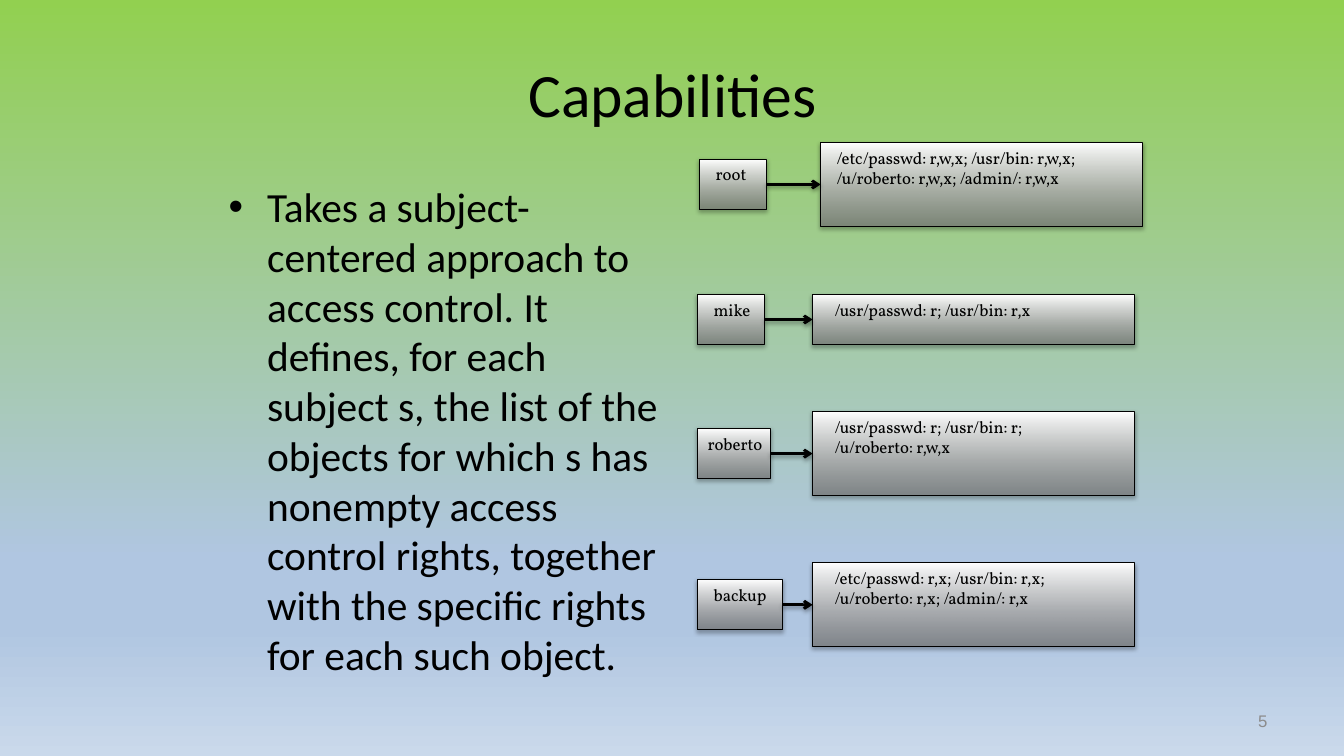
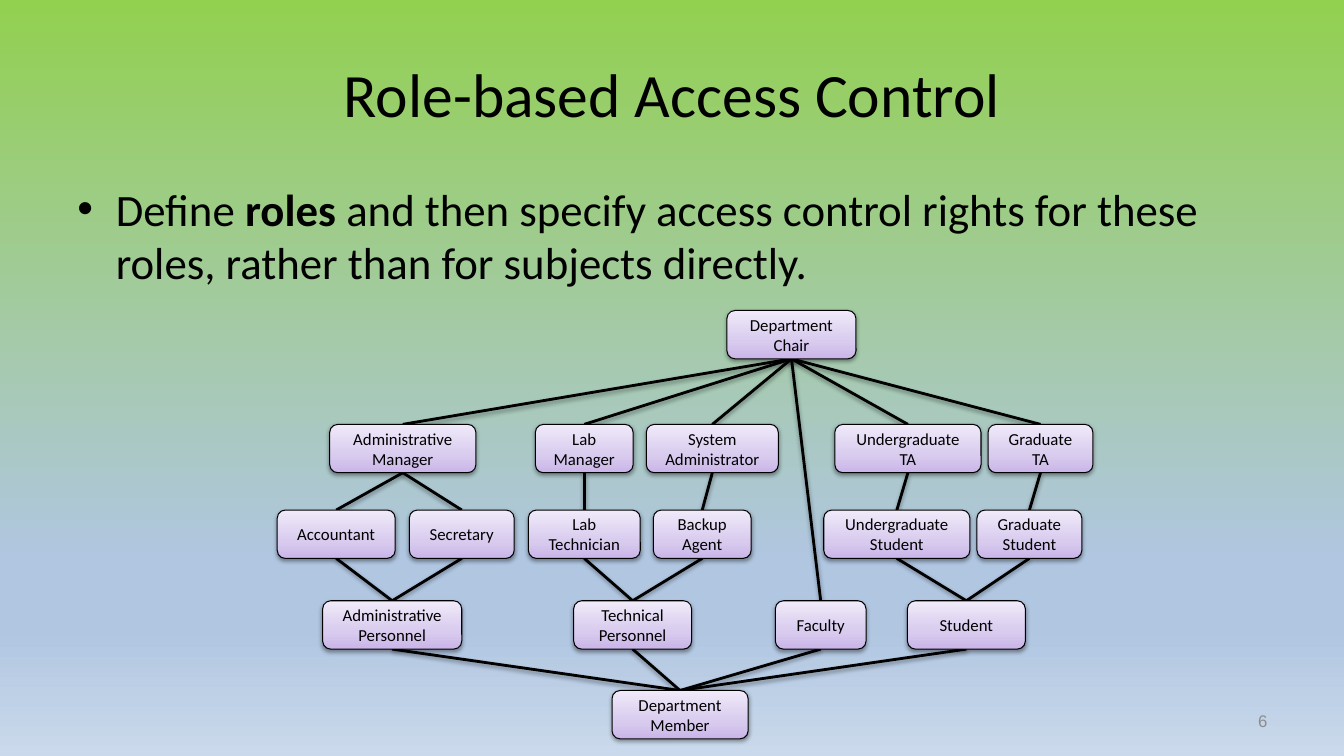
"""Build two slides on access control: capabilities and role-based access."""
from typing import NamedTuple

from lxml.etree import SubElement
from pptx import Presentation
from pptx.dml.color import RGBColor
from pptx.enum.shapes import MSO_CONNECTOR, MSO_SHAPE
from pptx.enum.text import MSO_ANCHOR, MSO_AUTO_SIZE, PP_ALIGN
from pptx.oxml.ns import qn
from pptx.util import Inches, Pt

COLORS = {
    "ink": "000000", "number": "8C8C8C",
    "green": "92D050", "blue": "B0C6E1", "pale": "CAD9EB",
    "grey": "808080", "white": "FFFFFF",
    "violet": "C9B5E8", "lilac": "D8CBEE", "mist": "F0EAF9",
}


class Stop(NamedTuple):
    pos: int
    color: str
    alpha: int = 100


class Gradient(NamedTuple):
    angle: int
    stops: tuple[Stop, ...]


class Capability(NamedTuple):
    subject: str
    rights: tuple[str, ...]
    middle: float
    left: float
    width: float
    name_pad: float
    name_width: float
    list_left: float
    rights_pad: float
    rights_width: float


class Role(NamedTuple):
    name: str
    level: int
    left: float
    width: float
    below: tuple[str, ...] = ()


SKY = Gradient(90, (Stop(0, "green"), Stop(74, "blue"), Stop(83, "blue"), Stop(100, "pale")))
STEEL = Gradient(270, (Stop(0, "grey", 69), Stop(100, "white")))
LAVENDER = Gradient(270, (Stop(0, "violet"), Stop(35, "lilac"), Stop(100, "mist")))

TOP, LEFT, BOTTOM, RIGHT = range(4)
BOX_HEIGHT = 0.5
LIST_WIDTH = 3.19
LIST_HEIGHTS = {1: 0.5, 2: 0.83}
TEXT_HEIGHTS = {1: 0.3, 2: 0.5}
LEVEL_TOPS = (3.08, 4.21, 5.06, 5.96, 6.85)
ROLE_HEIGHT = 0.48

CAPABILITIES = (
    Capability("root", ("/etc/passwd: r,w,x; /usr/bin: r,w,x;", "/u/roberto: r,w,x; /admin/: r,w,x"),
               1.83, 6.94, 0.66, 0.06, 0.51, 8.14, 0.06, 2.73),
    Capability("mike", ("/usr/passwd: r; /usr/bin: r,x",),
               3.17, 6.92, 0.66, 0.06, 0.57, 8.06, 0.12, 2.22),
    Capability("roberto", ("/usr/passwd: r; /usr/bin: r;", "/u/roberto: r,w,x"),
               4.5, 6.92, 0.72, 0, 0.75, 8.06, 0.12, 2.14),
    Capability("backup", ("/etc/passwd: r,x; /usr/bin: r,x;", "/u/roberto: r,x; /admin/: r,x"),
               6, 6.92, 0.84, 0.06, 0.75, 8.06, 0.12, 2.4),
)

ROLES = (
    Role("Department Chair", 0, 7.21, 1.28,
         ("Administrative Manager", "Lab Manager", "System Administrator",
          "Faculty", "Undergraduate TA", "Graduate TA")),
    Role("Administrative Manager", 1, 3.27, 1.45, ("Accountant", "Secretary")),
    Role("Lab Manager", 1, 5.31, 0.97, ("Lab Technician",)),
    Role("System Administrator", 1, 6.41, 1.31, ("Backup Agent",)),
    Role("Undergraduate TA", 1, 8.28, 1.45, ("Undergraduate Student",)),
    Role("Graduate TA", 1, 9.8, 1.04, ("Graduate Student",)),
    Role("Accountant", 2, 2.75, 1.17, ("Administrative Personnel",)),
    Role("Secretary", 2, 4.06, 1.04, ("Administrative Personnel",)),
    Role("Lab Technician", 2, 5.24, 1.11, ("Technical Personnel",)),
    Role("Backup Agent", 2, 6.48, 0.97, ("Technical Personnel",)),
    Role("Undergraduate Student", 2, 8.17, 1.45, ("Student",)),
    Role("Graduate Student", 2, 9.69, 1.04, ("Student",)),
    Role("Administrative Personnel", 3, 3.2, 1.38, ("Department Member",)),
    Role("Technical Personnel", 3, 5.69, 1.17, ("Department Member",)),
    Role("Faculty", 3, 7.69, 0.9, ("Department Member",)),
    Role("Student", 3, 9, 1.17, ("Department Member",)),
    Role("Department Member", 4, 6.07, 1.35),
)


def rgb(name: str) -> RGBColor:
    return RGBColor.from_string(COLORS[name])


def add_color(parent, name: str, alpha: int):
    clr = SubElement(parent, qn("a:srgbClr"), val=COLORS[name])
    if alpha < 100:
        SubElement(clr, qn("a:alpha"), val=str(alpha * 1000))


def paint(fill, holder, gradient: Gradient):
    fill.solid()
    solid = holder.find(qn("a:solidFill"))
    grad = SubElement(holder, qn("a:gradFill"), rotWithShape="1")
    stops = SubElement(grad, qn("a:gsLst"))
    for stop in gradient.stops:
        gs = SubElement(stops, qn("a:gs"), pos=str(stop.pos * 1000))
        add_color(gs, stop.color, stop.alpha)
    SubElement(grad, qn("a:lin"), ang=str(gradient.angle * 60000), scaled="0")
    holder.replace(solid, grad)


def add_shadow(sp):
    effects = SubElement(sp.element.spPr, qn("a:effectLst"))
    shadow = SubElement(effects, qn("a:outerShdw"), blurRad="40000", dist="20000",
                        dir="5400000", rotWithShape="0")
    add_color(shadow, "ink", 38)


def write(tf, *lines: str, size: float = 12, font: str = "Calibri", color: str = "ink",
          align=PP_ALIGN.LEFT, anchor=MSO_ANCHOR.TOP, wrap: bool = True, bullet: bool = False):
    """Fill a text frame, one paragraph a line; words between asterisks are bold."""
    tf.word_wrap = wrap
    tf.auto_size = MSO_AUTO_SIZE.NONE if wrap else MSO_AUTO_SIZE.SHAPE_TO_FIT_TEXT
    tf.vertical_anchor = anchor
    for i, line in enumerate(lines):
        p = tf.add_paragraph() if i else tf.paragraphs[0]
        p.alignment = align
        for j, part in enumerate(line.split("*")):
            r = p.add_run()
            r.text = part
            r.font.size, r.font.name, r.font.bold = Pt(size), font, j % 2 == 1
            r.font.color.rgb = rgb(color)
        if bullet:
            p.space_before = Pt(size * 0.2)
            ppr = p._p.get_or_add_pPr()
            ppr.set("marL", str(Inches(0.38)))
            ppr.set("indent", str(-Inches(0.38)))
            SubElement(ppr, qn("a:buFont"), typeface="Arial")
            SubElement(ppr, qn("a:buChar"), char="\u2022")


def add_text(slide, x: float, y: float, w: float, h: float, *lines: str, **style):
    box = slide.shapes.add_textbox(Inches(x), Inches(y), Inches(w), Inches(h))
    write(box.text_frame, *lines, **style)


def add_box(slide, kind, x: float, y: float, w: float, h: float, gradient: Gradient):
    sp = slide.shapes.add_shape(kind, Inches(x), Inches(y), Inches(w), Inches(h))
    paint(sp.fill, sp.element.spPr, gradient)
    sp.line.color.rgb = rgb("ink")
    sp.line.width = Pt(0.75)
    add_shadow(sp)
    return sp


def link(slide, start, start_site: int, end, end_site: int, arrow: bool = False):
    cx = slide.shapes.add_connector(MSO_CONNECTOR.STRAIGHT, 0, 0, 0, 0)
    cx.begin_connect(start, start_site)
    cx.end_connect(end, end_site)
    cx.line.color.rgb = rgb("ink")
    cx.line.width = Pt(2)
    if arrow:
        SubElement(cx.element.spPr.find(qn("a:ln")), qn("a:tailEnd"), type="arrow")
    add_shadow(cx)


def add_slide(prs, title: str, number: int, body: str, x: float, w: float, size: float):
    slide = prs.slides.add_slide(prs.slide_layouts[6])
    fill = slide.background.fill
    fill.solid()
    paint(fill, slide.element.find(".//" + qn("p:bgPr")), SKY)
    add_text(slide, 0.67, 0.3, 12, 1.25, title, size=44,
             align=PP_ALIGN.CENTER, anchor=MSO_ANCHOR.MIDDLE)
    add_text(slide, x, 1.75, w, 4.95, body, size=size, bullet=True)
    add_text(slide, 9.56, 6.95, 3.11, 0.4, str(number), font="Arial", color="number",
             align=PP_ALIGN.RIGHT, anchor=MSO_ANCHOR.MIDDLE)
    return slide


def add_capability(slide, cap: Capability):
    count = len(cap.rights)
    height = LIST_HEIGHTS[count]
    list_top, top = cap.middle - height / 2, cap.middle - BOX_HEIGHT / 2
    rights = add_box(slide, MSO_SHAPE.RECTANGLE, cap.list_left, list_top, LIST_WIDTH, height, STEEL)
    subject = add_box(slide, MSO_SHAPE.RECTANGLE, cap.left, top, cap.width, BOX_HEIGHT, STEEL)
    add_text(slide, cap.list_left + cap.rights_pad, list_top, cap.rights_width,
             TEXT_HEIGHTS[count], *cap.rights, font="Vollkorn", wrap=False)
    add_text(slide, cap.left + cap.name_pad, top, cap.name_width, TEXT_HEIGHTS[1],
             cap.subject, font="Vollkorn", wrap=False)
    link(slide, subject, RIGHT, rights, LEFT, arrow=True)


def add_hierarchy(slide, roles: tuple[Role, ...]):
    boxes = {}
    for role in roles:
        sp = add_box(slide, MSO_SHAPE.FLOWCHART_ALTERNATE_PROCESS, role.left,
                     LEVEL_TOPS[role.level], role.width, ROLE_HEIGHT, LAVENDER)
        write(sp.text_frame, role.name, align=PP_ALIGN.CENTER, anchor=MSO_ANCHOR.MIDDLE)
        boxes[role.name] = sp
    for role in roles:
        for name in role.below:
            link(slide, boxes[role.name], BOTTOM, boxes[name], TOP)
    for sp in boxes.values():
        slide.shapes.element.append(sp.element)


def main():
    prs = Presentation()
    prs.slide_width, prs.slide_height = Inches(13.33), Inches(7.5)
    s = add_slide(prs, "Capabilities", 5,
                  "Takes a subject-centered approach to access control. It defines, for each "
                  "subject s, the list of the objects for which s has nonempty access control "
                  "rights, together with the specific rights for each such object.",
                  2.17, 4.58, 29.6)
    for cap in CAPABILITIES:
        add_capability(s, cap)
    s = add_slide(prs, "Role-based Access Control", 6,
                  "Define *roles *and then specify access control rights for these roles, "
                  "rather than for subjects directly.", 0.67, 12, 32)
    add_hierarchy(s, ROLES)
    prs.save("out.pptx")


main()
